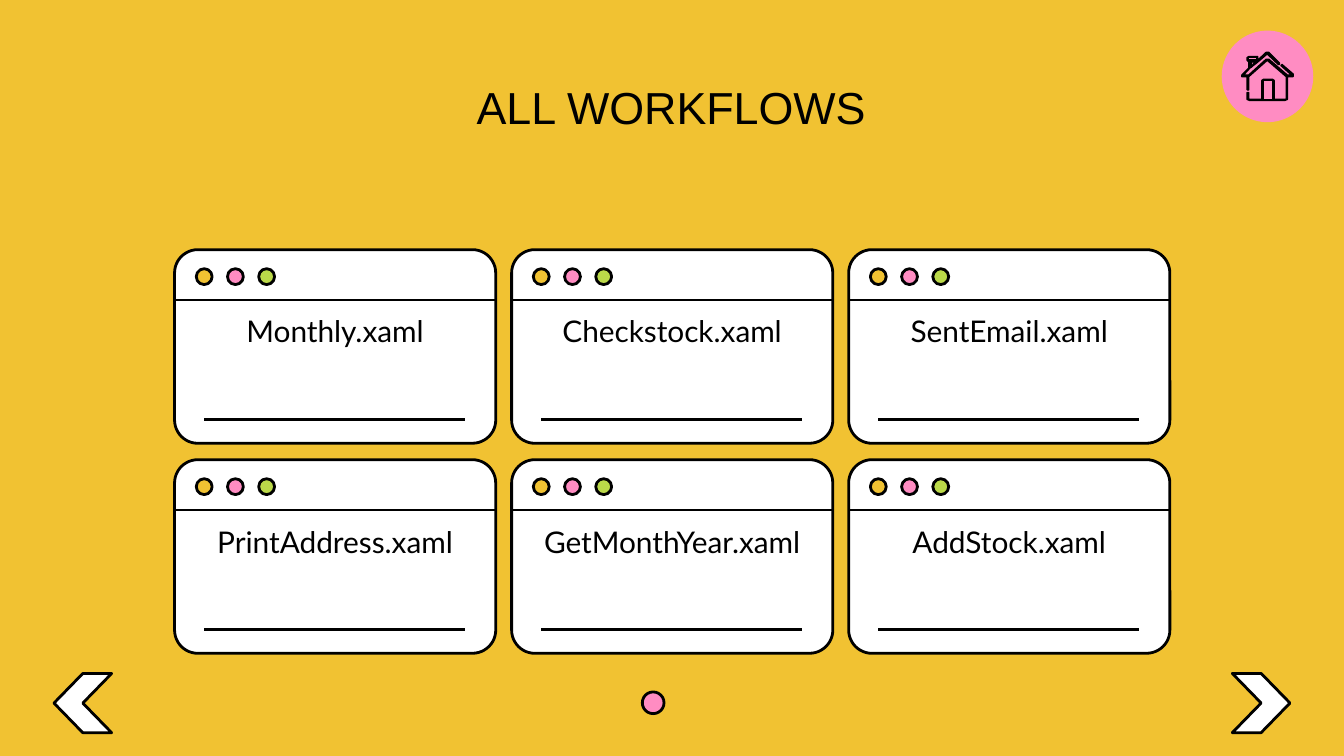
from dataclasses import dataclass

from lxml import etree
from pptx import Presentation
from pptx.dml.color import RGBColor
from pptx.enum.shapes import MSO_CONNECTOR, MSO_SHAPE
from pptx.enum.text import MSO_ANCHOR, PP_ALIGN
from pptx.oxml.ns import qn
from pptx.util import Cm, Pt

ROUNDED, OVAL, CHEVRON = MSO_SHAPE.ROUNDED_RECTANGLE, MSO_SHAPE.OVAL, MSO_SHAPE.CHEVRON
STRAIGHT = MSO_CONNECTOR.STRAIGHT
CENTER = PP_ALIGN.CENTER
TOP, MIDDLE = MSO_ANCHOR.TOP, MSO_ANCHOR.MIDDLE


@dataclass(frozen=True)
class Theme:
    yellow: str = "F1C232"
    pink: str = "FF8CC2"
    green: str = "BBD949"
    white: str = "FFFFFF"
    ink: str = "000000"
    title_font: str = "Arial"
    caption_font: str = "Lato"
    title_size: float = 24
    caption_size: float = 16
    outline: float = 1.5
    icon_outline: float = 0.75


THEME = Theme()

# Centimetres
CARD_LEFT, CARD_TOP, CARD_WIDTH, CARD_HEIGHT = 3.3, 4.72, 6.07, 3.66
COLUMN_STEP, ROW_STEP = 6.37, 3.97
HEADER_HEIGHT = 0.95
DOT_SIZE, DOT_STEP = 0.3, 0.59
CAPTION_WIDTH, WIDE_CAPTION_WIDTH = 5.59, 6.86
RULE_LEFT, RULE_TOP, RULE_WIDTH, RULE_HEIGHT = 0.56, 2.01, 4.93, 1.2

WORKFLOWS = [
    [("Monthly.xaml", CAPTION_WIDTH), ("Checkstock.xaml", CAPTION_WIDTH),
     ("SentEmail.xaml", CAPTION_WIDTH)],
    [("PrintAddress.xaml", CAPTION_WIDTH), ("GetMonthYear.xaml", WIDE_CAPTION_WIDTH),
     ("AddStock.xaml", CAPTION_WIDTH)],
]

# Hundredths of a centimetre from the icon's top left corner
HOUSE_WALLS = [
    (48, 0), (46, 0), (30, 15), (30, 8), (13, 8), (10, 10), (10, 15), (13, 18),
    (13, 30), (0, 43), (0, 46), (10, 46), (10, 71), (13, 71), (13, 46), (48, 15),
    (84, 46), (84, 89), (61, 89), (61, 53), (58, 51), (41, 51), (38, 53), (38, 89),
    (13, 89), (13, 76), (10, 76), (10, 89), (15, 91), (81, 91), (86, 89), (86, 46),
    (97, 46), (97, 41), (76, 23), (74, 25), (94, 43), (86, 43), (51, 13), (46, 13),
    (13, 43), (3, 43), (15, 30), (28, 20), (48, 3), (69, 23), (71, 23), (71, 20),
    (51, 0),
]
HOUSE_CHIMNEY_CAP = [(28, 10), (28, 13), (13, 13), (13, 10)]
HOUSE_CHIMNEY = [(25, 18), (18, 28), (18, 18)]
HOUSE_DOOR = [(58, 53), (58, 89), (41, 89), (41, 53)]


def color(value):
    return RGBColor.from_string(value)


def paint(shape, fill, line_width=THEME.outline):
    shape.shadow.inherit = False
    shape.fill.solid()
    shape.fill.fore_color.rgb = color(fill)
    if line_width:
        shape.line.color.rgb = color(THEME.ink)
        shape.line.width = Pt(line_width)
    else:
        shape.line.fill.background()


def add_shape(shapes, kind, left, top, width, height, fill, line_width=THEME.outline):
    shape = shapes.add_shape(kind, Cm(left), Cm(top), Cm(width), Cm(height))
    paint(shape, fill, line_width)
    return shape


def add_text(page, text, left, top, width, height, font, size, anchor, space_after=0):
    box = page.shapes.add_textbox(Cm(left), Cm(top), Cm(width), Cm(height))
    frame_format = {"word_wrap": True, "vertical_anchor": anchor}
    for side in ("left", "right", "top", "bottom"):
        frame_format[f"margin_{side}"] = Cm(0.25)
    para = box.text_frame.paragraphs[0]
    span = para.add_run()
    span.text = text
    span.font.color.rgb = color(THEME.ink)
    formats = [
        (box.text_frame, frame_format),
        (para, {"alignment": CENTER, "space_after": Pt(space_after)}),
        (span.font, {"name": font, "size": Pt(size)}),
    ]
    for target, values in formats:
        for name, value in values.items():
            setattr(target, name, value)


def add_window(page, left, top):
    """Draw a browser-like card: frame, three buttons and the header line."""
    shapes = page.shapes.add_group_shape().shapes
    frame = add_shape(shapes, ROUNDED, left, top, CARD_WIDTH, CARD_HEIGHT, THEME.white)
    frame.adjustments[0] = 0.12
    for index, fill in enumerate((THEME.yellow, THEME.pink, THEME.green)):
        add_shape(shapes, OVAL, left + 0.41 + index * DOT_STEP, top + 0.36,
                  DOT_SIZE, DOT_SIZE, fill)
    y = Cm(top + HEADER_HEIGHT)
    line = shapes.add_connector(STRAIGHT, Cm(left), y, Cm(left + CARD_WIDTH), y)
    line.line.color.rgb = color(THEME.ink)
    line.line.width = Pt(THEME.outline)
    etree.SubElement(line._element.spPr, qn("a:effectLst"))


def add_rule_table(page, left, top):
    """Add a one-cell table that shows only its bottom border."""
    table = page.shapes.add_table(1, 1, Cm(left), Cm(top),
                                  Cm(RULE_WIDTH), Cm(RULE_HEIGHT)).table
    table.first_row = table.horz_banding = False
    cell = table.cell(0, 0)
    cell.fill.background()
    properties = cell._tc.get_or_add_tcPr()
    for index, side in enumerate(("lnL", "lnR", "lnT", "lnB")):
        border = etree.Element(qn(f"a:{side}"))
        if side == "lnB":
            border.set("w", str(Pt(THEME.outline)))
            fill = etree.SubElement(border, qn("a:solidFill"))
            etree.SubElement(fill, qn("a:srgbClr"), val=THEME.ink)
        else:
            etree.SubElement(border, qn("a:noFill"))
        properties.insert(index, border)


def add_workflow_cards(page):
    cards = [(CARD_LEFT + column * COLUMN_STEP, CARD_TOP + row * ROW_STEP, name, width)
             for row, names in enumerate(WORKFLOWS)
             for column, (name, width) in enumerate(names)]
    for left, top, name, width in cards:
        add_window(page, left, top)
        add_text(page, name, left + (CARD_WIDTH - width) / 2, top + HEADER_HEIGHT, width,
                 1.04, THEME.caption_font, THEME.caption_size, TOP, space_after=16)
        add_rule_table(page, left + RULE_LEFT, top + RULE_TOP)


def add_navigation(page):
    add_shape(page.shapes, OVAL, 12.14, 13.08, 0.41, 0.41, THEME.pink)
    for left, rotation in ((23.29, 0), (1.02, 180)):
        arrow = add_shape(page.shapes, CHEVRON, left, 12.73, 1.09, 1.12, THEME.white)
        arrow.rotation = rotation


def add_home_button(page):
    add_shape(page.shapes, OVAL, 23.09, 0.58, 1.73, 1.73, THEME.pink, line_width=0)
    builder = page.shapes.build_freeform(*HOUSE_WALLS[0], scale=Cm(0.01))
    builder.add_line_segments(HOUSE_WALLS[1:], close=True)
    for contour in (HOUSE_CHIMNEY_CAP, HOUSE_CHIMNEY, HOUSE_DOOR):
        builder.move_to(*contour[0])
        builder.add_line_segments(contour[1:], close=True)
    house = builder.convert_to_shape(Cm(23.47), Cm(0.99))
    paint(house, THEME.ink, THEME.icon_outline)


def main():
    deck = Presentation()
    deck.slide_width, deck.slide_height = Cm(25.4), Cm(14.29)
    page = deck.slides.add_slide(deck.slide_layouts[6])
    page.background.fill.solid()
    page.background.fill.fore_color.rgb = color(THEME.yellow)
    add_text(page, "ALL WORKFLOWS", 2.36, 1.22, 20.65, 1.6,
             THEME.title_font, THEME.title_size, MIDDLE)
    add_workflow_cards(page)
    add_navigation(page)
    add_home_button(page)
    deck.save("out.pptx")


if __name__ == "__main__":
    main()
